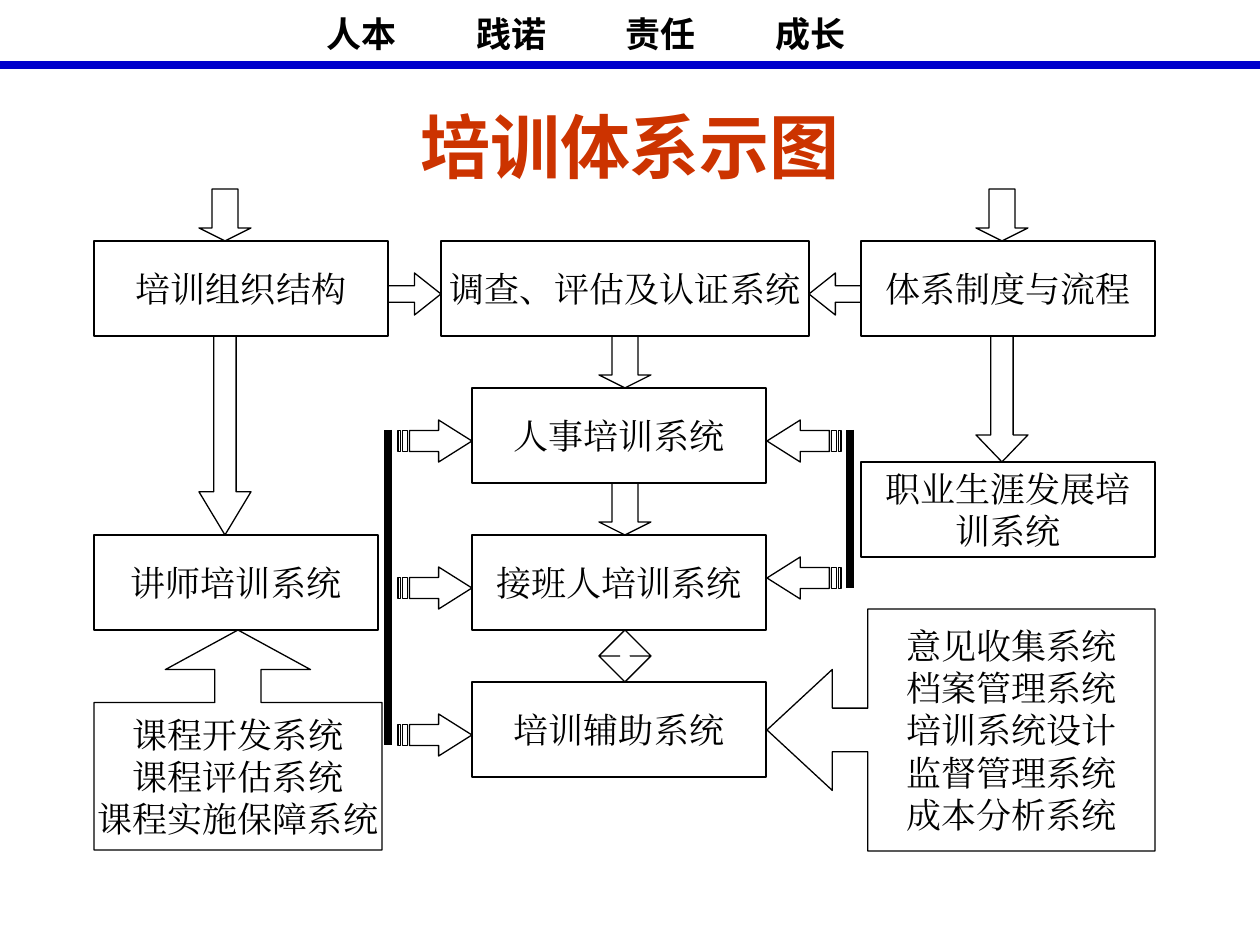
from dataclasses import dataclass

from lxml import etree
from pptx import Presentation
from pptx.dml.color import RGBColor
from pptx.enum.shapes import MSO_CONNECTOR, MSO_SHAPE
from pptx.enum.text import MSO_ANCHOR, MSO_AUTO_SIZE, PP_ALIGN
from pptx.oxml.ns import qn
from pptx.util import Emu, Pt

RECTANGLE = MSO_SHAPE.RECTANGLE
DOWN, LEFT, RIGHT = MSO_SHAPE.DOWN_ARROW, MSO_SHAPE.LEFT_ARROW, MSO_SHAPE.RIGHT_ARROW
UP_DOWN = MSO_SHAPE.UP_DOWN_ARROW
UP_CALLOUT, LEFT_CALLOUT = MSO_SHAPE.UP_ARROW_CALLOUT, MSO_SHAPE.LEFT_ARROW_CALLOUT
STRAIGHT = MSO_CONNECTOR.STRAIGHT
CENTER, ALIGN_LEFT = PP_ALIGN.CENTER, PP_ALIGN.LEFT
MIDDLE, TOP = MSO_ANCHOR.MIDDLE, MSO_ANCHOR.TOP
NO_FIT = MSO_AUTO_SIZE.NONE

PX_PER_INCH = 126
BLACK, BLUE, ORANGE = "000000", "0000CC", "CC3300"
SANS, SERIF = "Noto Sans CJK SC", "Times New Roman"

# Grid: four rows of boxes in three columns
ROWS = [241 + 147 * row for row in range(4)]
BOX_W, BOX_H, GAP = 294, 95, 52
COLUMN_1, COLUMN_2, COLUMN_3 = 94, 472, 861
ARROW_1, ARROW_2, ARROW_3 = 199, 599, 976
STRIPED_W, STRIPED_H = 74, 42


@dataclass
class Part:
    kind: int
    left: int
    top: int
    width: int
    height: int
    adjustments: tuple[float, ...] = ()
    lines: tuple[str, ...] = ()
    wrap: bool = False


@dataclass
class StripedArrow:
    left: int
    top: int
    points_right: bool


@dataclass
class Rule:
    x1: int
    y1: int
    x2: int
    y2: int
    color: str


def px(value: float) -> Emu:
    return Emu(round(value * 914400 / PX_PER_INCH))


def color_of(value: str) -> RGBColor:
    return RGBColor.from_string(value)


def apply(target, values: dict) -> None:
    for name, value in values.items():
        setattr(target, name, value)


def write_text(shape, lines, font_name: str, size: int, color: str, bold=False,
               wrap=True, anchor=MIDDLE, alignment=CENTER) -> None:
    frame = shape.text_frame
    apply(frame, {"word_wrap": wrap, "vertical_anchor": anchor, "auto_size": NO_FIT,
                  "margin_left": px(13), "margin_right": px(13),
                  "margin_top": px(6), "margin_bottom": px(6)})
    frame.text = "\n".join(lines)
    for paragraph in frame.paragraphs:
        paragraph.alignment = alignment
        for run in paragraph.runs:
            apply(run.font, {"name": font_name, "size": Pt(size), "bold": bold})
            run.font.color.rgb = color_of(color)
            east_asian = etree.SubElement(run.font._element, qn("a:ea"))
            east_asian.set("typeface", font_name)


def outline(shape) -> None:
    shape.shadow.inherit = False
    shape.fill.background()
    shape.line.color.rgb = color_of(BLACK)
    shape.line.width = Pt(0.75)


def draw_part(slide, part: Part) -> None:
    shape = slide.shapes.add_shape(part.kind, px(part.left), px(part.top),
                                   px(part.width), px(part.height))
    outline(shape)
    for index, value in enumerate(part.adjustments):
        shape.adjustments[index] = value
    if part.lines:
        write_text(shape, part.lines, SERIF, 20, BLACK, wrap=part.wrap)


def draw_striped_arrow(slide, arrow: StripedArrow) -> None:
    def bar(start: float, end: float) -> list:
        return [(start, 0.25), (end, 0.25), (end, 0.75), (start, 0.75)]

    def place(point) -> tuple:
        along = point[0] if arrow.points_right else 1 - point[0]
        return px(arrow.left + along * STRIPED_W), px(arrow.top + point[1] * STRIPED_H)

    body = [(5 / 32, 0.25), (0.55, 0.25), (0.55, 0), (1, 0.5),
            (0.55, 1), (0.55, 0.75), (5 / 32, 0.75)]
    contours = [[place(point) for point in contour]
                for contour in (body, bar(0, 1 / 32), bar(1 / 16, 1 / 8))]
    builder = slide.shapes.build_freeform(*contours[0][0])
    for index, contour in enumerate(contours):
        if index:
            builder.move_to(*contour[0])
        builder.add_line_segments(contour[1:], close=True)
    outline(builder.convert_to_shape())


def draw_rule(slide, rule: Rule) -> None:
    line = slide.shapes.add_connector(STRAIGHT, px(rule.x1), px(rule.y1),
                                      px(rule.x2), px(rule.y2))
    line.line.color.rgb = color_of(rule.color)
    line.line.width = Pt(4.5)
    etree.SubElement(line._element.spPr, qn("a:effectLst"))


def draw_header(slide, words: list[str]) -> None:
    box = slide.shapes.add_textbox(px(64), px(6), px(1131), px(55))
    write_text(box, ["\t".join(words)], SANS, 20, BLACK, bold=True,
               anchor=TOP, alignment=ALIGN_LEFT)
    box.text_frame.margin_left = px(263)
    properties = box.text_frame.paragraphs[0]._p.get_or_add_pPr()
    tabs = etree.SubElement(properties, qn("a:tabLst"))
    for index in range(1, len(words)):
        etree.SubElement(tabs, qn("a:tab"), pos=str(px(149.5 * index)), algn="l")


def box_part(left: int, top: int, text: str, width: int = BOX_W, wrap=False) -> Part:
    return Part(RECTANGLE, left, top, width, BOX_H, (), (text,), wrap)


PARTS = [
    # Boxes
    box_part(COLUMN_1, ROWS[0], "培训组织结构"),
    box_part(441, ROWS[0], "调查、评估及认证系统", width=368),
    box_part(COLUMN_3, ROWS[0], "体系制度与流程"),
    box_part(COLUMN_2, ROWS[1], "人事培训系统"),
    box_part(COLUMN_2, ROWS[2], "接班人培训系统"),
    box_part(COLUMN_2, ROWS[3], "培训辅助系统"),
    box_part(COLUMN_1, ROWS[2], "讲师培训系统", width=284),
    box_part(COLUMN_3, 462, "职业生涯发展培训系统", wrap=True),
    # Short arrows into the top row and down the middle column
    *[Part(DOWN, left, top, GAP, GAP, (0.5, 0.25)) for left, top in (
        (ARROW_1, 189), (ARROW_3, 189),
        (ARROW_2, ROWS[0] + BOX_H), (ARROW_2, ROWS[1] + BOX_H))],
    Part(UP_DOWN, ARROW_2, ROWS[2] + BOX_H, GAP, GAP, (0.5, 0.2)),
    # Long arrows down the outer columns
    Part(DOWN, ARROW_1, ROWS[0] + BOX_H, GAP, 199, (0.43, 0.83)),
    Part(DOWN, ARROW_3, ROWS[0] + BOX_H, GAP, 126, (0.43, 0.52)),
    # Arrows towards the top middle box
    Part(RIGHT, 388, 273, 53, 42, (0.39, 0.63)),
    Part(LEFT, 809, 273, 52, 42, (0.39, 0.63)),
    # Callouts
    Part(UP_CALLOUT, COLUMN_1, 630, 288, 220, (0.21, 0.33, 0.18, 0.67),
         ("课程开发系统", "课程评估系统", "课程实施保障系统")),
    Part(LEFT_CALLOUT, 767, 609, 388, 242, (0.18, 0.25, 0.27, 0.74),
         ("意见收集系统", "档案管理系统", "培训系统设计", "监督管理系统", "成本分析系统")),
]
STRIPED_ARROWS = [
    *[StripedArrow(398, top, True) for top in (420, 567, 714)],
    *[StripedArrow(767, top, False) for top in (420, 557)],
]
RULES = [
    Rule(0, 65, 1260, 65, BLUE),
    Rule(388, 430, 388, 745, BLACK),
    Rule(850, 430, 850, 588, BLACK),
]


def main() -> None:
    presentation = Presentation()
    apply(presentation, {"slide_width": px(1260), "slide_height": px(945)})
    slide = presentation.slides.add_slide(presentation.slide_layouts[5])

    # Header and title
    draw_header(slide, ["人本", "践诺", "责任", "成长"])
    title = slide.shapes.title
    apply(title, {"left": px(63), "top": px(106), "width": px(1134), "height": px(79)})
    write_text(title, ["培训体系示图"], SANS, 40, ORANGE, bold=True)

    # Diagram
    for part in PARTS:
        draw_part(slide, part)
    for arrow in STRIPED_ARROWS:
        draw_striped_arrow(slide, arrow)
    for rule in RULES:
        draw_rule(slide, rule)
    presentation.save("out.pptx")


if __name__ == "__main__":
    main()
